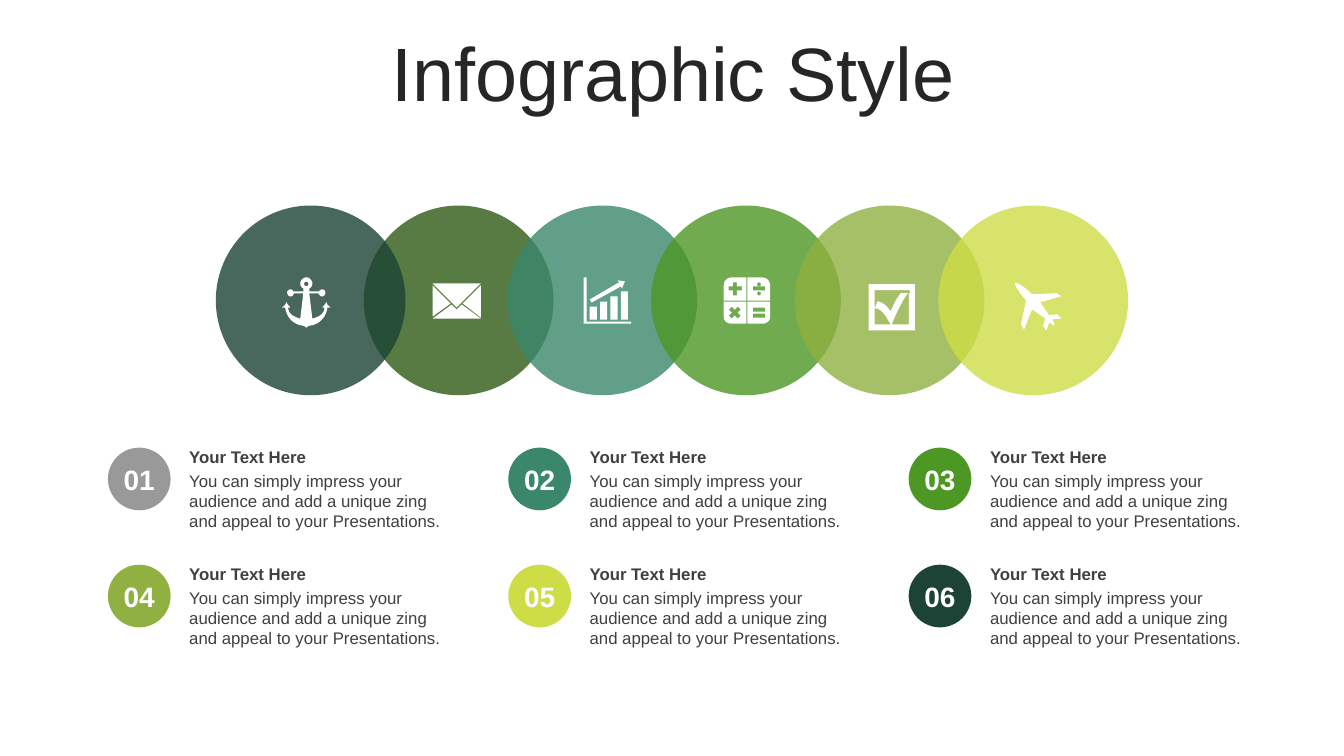
from lxml.etree import SubElement
from math import cos, pi, sin
from pptx import Presentation
from pptx.dml.color import RGBColor
from pptx.enum.shapes import MSO_SHAPE
from pptx.enum.text import MSO_ANCHOR, MSO_AUTO_SIZE, PP_ALIGN
from pptx.oxml.ns import qn
from pptx.util import Cm, Pt

COLORS = {
    "title": "262626", "text": "404040", "white": "FFFFFF", "gray": "808080",
    "forest": "1C4335", "moss": "2E5B15", "teal": "3A876B",
    "green": "4D9724", "olive": "90B141", "lime": "CEDD46",
}
FINE = 10  # drawing steps per icon unit
ICON_UNIT = Cm(2.54) / 100


# Outlines for the icons, in icon units
def outline(*points):
    """Turn corners (x, y) and Bezier steps (x1, y1, x2, y2, x, y) into points."""
    result = []
    for point in points:
        if len(point) == 2:
            result.append(point)
            continue
        start, controls = result[-1], (point[:2], point[2:4], point[4:])
        for step in range(1, 9):
            t = step / 8
            weights = ((1 - t) ** 3, 3 * t * (1 - t) ** 2, 3 * t * t * (1 - t), t ** 3)
            result.append(tuple(
                sum(w * p[axis] for w, p in zip(weights, (start, *controls)))
                for axis in (0, 1)))
    return result


def rect(x, y, width, height):
    return [(x, y), (x + width, y), (x + width, y + height), (x, y + height)]


def disc(x, y, radius):
    return [(x + radius * cos(k * pi / 12), y + radius * sin(k * pi / 12))
            for k in range(24)]


def mirrored(half, width):
    return half + [(width - x, y) for x, y in reversed(half)]


ANCHOR_HALF = outline(
    (24, 0), (27, 0, 30, 3, 30, 6), (30, 8, 29, 10, 27, 11), (27, 14), (37, 14),
    (37, 13, 38, 12, 40, 12), (41, 12, 43, 13, 43, 15), (43, 17, 41, 19, 40, 19),
    (38, 19, 37, 18, 37, 17), (36, 16), (27, 16), (30, 41), (37, 39, 42, 36, 42, 30),
    (40, 30), (41, 28, 43, 27, 44, 24), (44, 27, 46, 28, 48, 30), (45, 30),
    (44, 38, 38, 47, 27, 48), (25, 49, 25, 49, 24, 50))

ANCHOR = [mirrored(ANCHOR_HALF, 48), disc(24, 6.5, 2.2)]
ENVELOPE = [
    [(29, 21), (48, 35), (0, 35), (19, 21), (24, 26)],
    [(48, 2), (48, 34), (30, 20)],
    [(0, 2), (18, 20), (0, 33)],
    [(0, 0), (48, 0), (24, 24)],
]
GROWTH_CHART = [
    *(rect(6 + 10.3 * k, 29 - 5 * k, 7, 13 + 5 * k) for k in range(4)),
    [(34, 3), (41, 4), (38, 11), (37, 9), (8, 25), (6, 22), (35, 5)],
    [(0, 0), (3, 0), (3, 44), (47, 44), (47, 46), (0, 46)],
]
CALCULATOR = [
    # Four keys with rounded outer corners
    outline((8, 0), (22.5, 0), (22.5, 23), (0, 23), (0, 8), (0, 4, 3, 0, 8, 0)),
    outline((23.5, 0), (38, 0), (43, 0, 46, 4, 46, 8), (46, 23), (23.5, 23)),
    outline((0, 24), (22.5, 24), (22.5, 46), (8, 46), (3, 46, 0, 43, 0, 39)),
    outline((23.5, 24), (46, 24), (46, 39), (46, 43, 43, 46, 38, 46), (23.5, 46)),
    # Plus, division, times, equals
    [(9, 5), (9, 9), (5, 9), (5, 13), (9, 13), (9, 18),
     (13, 18), (13, 13), (18, 13), (18, 9), (13, 9), (13, 5)],
    disc(35, 7, 2), rect(29, 9, 12, 4), disc(35, 16, 2),
    [(8, 29), (5, 32), (8, 35), (5, 38), (8, 41), (11, 38),
     (14, 41), (17, 38), (14, 35), (17, 32), (14, 29), (11, 32)],
    rect(29, 30, 12, 4), rect(29, 36, 12, 4),
]
CHECKBOX = [
    rect(0, 0, 46, 46),
    outline((6, 6), (6, 40), (22, 40), (18, 34, 14, 24, 6, 24), (9, 17),
            (16, 19, 18, 22, 22, 27), (25, 20, 27, 15, 32, 9), (39, 9),
            (33, 17, 27, 30, 23, 40), (40, 40), (40, 9), (41, 9), (41, 6)),
]
PLANE = [outline(
    (46, 36), (37, 37), (38, 39, 40, 42, 39, 43), (38, 43, 36, 41, 34, 40), (31, 48),
    (28, 43), (30, 36), (17, 27), (9, 47), (6, 42), (8, 33, 9, 27, 11, 18),
    (7, 14, -1, 3, 0, 1), (2, -1, 13, 8, 17, 12), (41, 11), (46, 14), (25, 20),
    (34, 33), (36, 32, 42, 32, 42, 32))]


class Infographic:
    font = "Arial"

    def __init__(self, deck):
        self.slide = deck.slides.add_slide(deck.slide_layouts[5])
        self.shapes = self.slide.shapes

    def set_text(self, shape, text, size, color, bold=False, align=PP_ALIGN.LEFT):
        frame = shape.text_frame
        frame.word_wrap = True
        frame.text = text
        paragraph = frame.paragraphs[0]
        paragraph.alignment = align
        font = paragraph.font
        font.name, font.size, font.bold = self.font, Pt(size), bold
        font.color.rgb = RGBColor.from_string(COLORS[color])
        return frame

    def paint(self, shape, color, opacity=100):
        shape.shadow.inherit = False
        shape.line.fill.background()
        shape.fill.solid()
        shape.fill.fore_color.rgb = RGBColor.from_string(COLORS[color])
        if opacity < 100:
            fill_color = shape.element.find(".//" + qn("a:srgbClr"))
            SubElement(fill_color, qn("a:alpha"), val=str(opacity * 1000))

    def title(self, text):
        heading = self.shapes.title
        heading.left, heading.top = Cm(0.89), Cm(0.94)
        heading.width, heading.height = Cm(32.16), Cm(2)
        frame = self.set_text(heading, text, 54, "title", align=PP_ALIGN.CENTER)
        frame.auto_size = MSO_AUTO_SIZE.NONE
        frame.vertical_anchor = MSO_ANCHOR.MIDDLE
        frame.paragraphs[0].line_spacing = 0.9

    def circle(self, left, top, diameter, color, opacity=100):
        circle = self.shapes.add_shape(
            MSO_SHAPE.OVAL, Cm(left), Cm(top), Cm(diameter), Cm(diameter))
        self.paint(circle, color, opacity)
        return circle

    def badge(self, left, top, number, color, opacity):
        badge = self.circle(left, top, 1.58, color, opacity)
        frame = self.set_text(badge, number, 20, "white", True, PP_ALIGN.CENTER)
        frame.margin_left = frame.margin_right = 0
        frame.margin_top = frame.margin_bottom = 0
        frame.vertical_anchor = MSO_ANCHOR.MIDDLE

    def text(self, left, top, height, text, bold=False):
        box = self.shapes.add_textbox(Cm(left), Cm(top), Cm(7.09), Cm(height))
        self.set_text(box, text, 12, "text", bold)

    def icon(self, left, top, contours):
        scaled = [[(x * FINE, y * FINE) for x, y in contour] for contour in contours]
        builder = self.shapes.build_freeform(*scaled[0][0], scale=ICON_UNIT / FINE)
        for index, contour in enumerate(scaled):
            if index:
                builder.move_to(*contour[0])
            builder.add_line_segments(contour[1:], close=True)
        self.paint(builder.convert_to_shape(Cm(left), Cm(top)), "white")


def main():
    deck = Presentation()
    deck.slide_width, deck.slide_height = Cm(33.87), Cm(19.05)
    page = Infographic(deck)
    page.title("Infographic Style")

    # Numbered descriptions, three columns by two rows
    badges = [("gray", 80), ("teal", 100), ("green", 100),
              ("olive", 100), ("lime", 100), ("forest", 100)]
    for index, (color, opacity) in enumerate(badges):
        row, column = divmod(index, 3)
        x, y = 2.72 + 10.09 * column, 11.13 + 2.95 * row
        page.text(x + 1.8, y, 0.76, "Your Text Here", bold=True)
        page.text(x + 1.8, y + 0.6, 1.8, "You can simply impress your audience and add "
                  "a unique zing and appeal to your Presentations.")
        page.badge(x, y + 0.15, f"{index + 1:02}", color, opacity)

    # Chain of overlapping circles, the leftmost one in front
    for index, color in enumerate(("moss", "teal", "green", "olive", "lime")):
        page.circle(9.17 + 3.62 * index, 5.18, 4.78, color, 80)
    page.circle(5.44, 5.18, 4.78, "forest", 80)

    # Icons on the chain
    for left, top, contours in (
            (7.11, 6.99, ANCHOR), (10.9, 7.14, ENVELOPE), (14.71, 6.99, GROWTH_CHART),
            (18.24, 6.99, CALCULATOR), (21.89, 7.16, CHECKBOX), (25.58, 7.11, PLANE)):
        page.icon(left, top, contours)

    deck.save("out.pptx")


if __name__ == "__main__":
    main()
